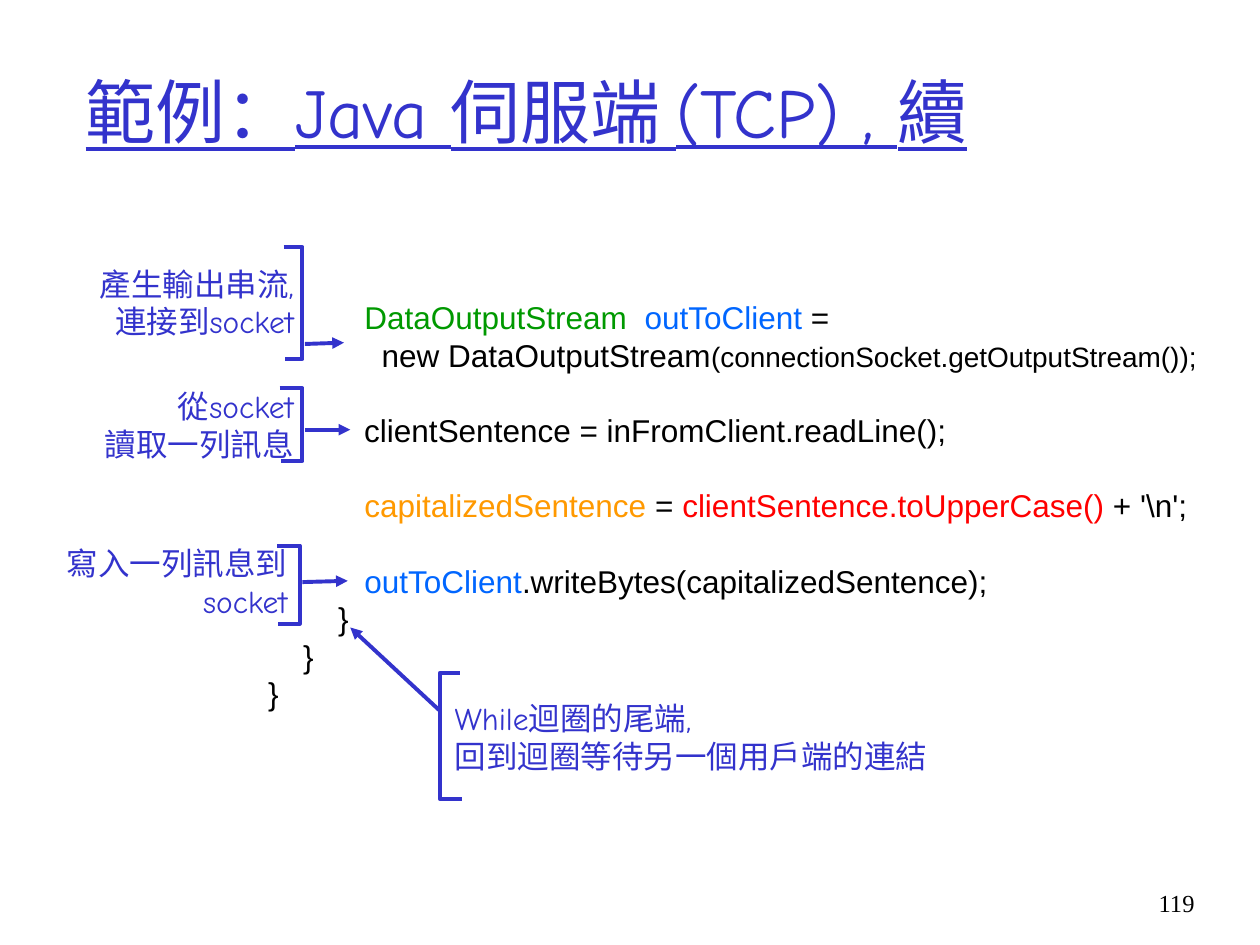
from lxml import etree
from pptx import Presentation
from pptx import util as u
from pptx.dml.color import RGBColor
from pptx.enum import shapes, text
from pptx.oxml.ns import qn

BLUE = RGBColor(0x33, 0x33, 0xCC)
BLACK = RGBColor(0, 0, 0)
GREEN = RGBColor(0, 0x99, 0)
SKY = RGBColor(0, 0x66, 0xFF)
ORANGE = RGBColor(0xFF, 0x99, 0)
RED = RGBColor(0xFF, 0, 0)

COLS, ROWS = 100, 75
CELL = u.Inches(0.1)
LINE_PITCH = u.Pt(21.5)
HAND, SANS, SERIF = "Comic Neue", "Arial", "Times New Roman"
LEFT, RIGHT = text.PP_ALIGN.LEFT, text.PP_ALIGN.RIGHT


def grid(*cells):
    """Turn grid columns or rows into slide lengths."""
    return [round(c * CELL) for c in cells]


def add_run(p, words, *, font=HAND, size=18, color=BLUE, underline=None):
    r = p.add_run()
    r.text = words
    r.font.name = font
    r.font.size = u.Pt(size)
    r.font.color.rgb = color
    r.font.underline = underline


def prepare_frame(sp, anchor=text.MSO_ANCHOR.MIDDLE):
    tf = sp.text_frame
    tf.word_wrap = True
    tf.auto_size = text.MSO_AUTO_SIZE.NONE
    tf.vertical_anchor = anchor
    return tf


def add_lines(tf, lines, align=LEFT, **fmt):
    for i, words in enumerate(lines):
        p = tf.add_paragraph() if i else tf.paragraphs[0]
        p.alignment = align
        add_run(p, words, **fmt)


def add_title(s, words, *box):
    sp = s.shapes.title
    sp.left, sp.top, sp.width, sp.height = grid(*box)
    add_lines(prepare_frame(sp), [words], size=40, underline=True)


def add_text(s, lines, box, *, anchor=text.MSO_ANCHOR.MIDDLE, **fmt):
    sp = s.shapes.add_textbox(*grid(*box))
    add_lines(prepare_frame(sp, anchor), lines, **fmt)


def add_code(s, lines, box, top_inset):
    """Each line is (gap lines before it, [(words, colour, size), ...])."""
    sp = s.shapes.add_textbox(*grid(*box))
    tf = prepare_frame(sp, text.MSO_ANCHOR.TOP)
    tf.margin_top = grid(top_inset)[0]
    for i, (gap, runs) in enumerate(lines):
        p = tf.add_paragraph() if i else tf.paragraphs[0]
        p.alignment = LEFT
        p.line_spacing = LINE_PITCH
        p.space_before = gap * LINE_PITCH
        for words, color, size in runs:
            add_run(p, words, font=SANS, size=size, color=color)


def style_line(sp):
    sp.line.color.rgb = BLUE
    sp.line.width = u.Pt(2.25)


def add_bracket(s, spine, top, bottom, top_tip, bottom_tip):
    points = [(top_tip, top), (spine, top), (spine, bottom), (bottom_tip, bottom)]
    first, *rest = [grid(*point) for point in points]
    builder = s.shapes.build_freeform(*first)
    builder.add_line_segments(rest, close=False)
    sp = builder.convert_to_shape()
    sp.shadow.inherit = False
    sp.fill.background()
    style_line(sp)


def add_arrow(s, *ends):
    sp = s.shapes.add_connector(shapes.MSO_CONNECTOR.STRAIGHT, *grid(*ends))
    style_line(sp)
    etree.SubElement(sp.line._get_or_add_ln(), qn("a:tailEnd"), type="triangle")
    etree.SubElement(sp._element.spPr, qn("a:effectLst"))


def main():
    prs = Presentation()
    prs.slide_width, prs.slide_height = grid(COLS, ROWS)
    s = prs.slides.add_slide(prs.slide_layouts[5])

    add_title(s, "範例：Java 伺服端 (TCP) , 續", 5.8, 2.5, 85, 12.5)

    code = [
        (0, [("           ", BLACK, 18), ("DataOutputStream  ", GREEN, 18),
             ("outToClient", SKY, 18), (" =", BLACK, 18)]),
        (0, [("             new DataOutputStream", BLACK, 18),
             ("(connectionSocket.getOutputStream());", BLACK, 16)]),
        (1, [("           clientSentence = inFromClient.readLine();", BLACK, 18)]),
        (1, [("           ", BLACK, 18), ("capitalizedSentence", ORANGE, 18),
             (" = ", BLACK, 18), ("clientSentence.toUpperCase()", RED, 18),
             (" + '\\n';", BLACK, 18)]),
        (1, [("           ", BLACK, 18), ("outToClient", SKY, 18),
             (".writeBytes(capitalizedSentence);", BLACK, 18)]),
        (0, [("        }", BLACK, 18)]),
        (0, [("    }", BLACK, 18)]),
        (0, [("}", BLACK, 18)]),
    ]
    add_code(s, code, (20.3, 17.7, 76.4, 43.4), top_inset=6)

    labels = [
        (["產生輸出串流,", "連接到socket"], (1.4, 20.5, 22.9, 7), RIGHT),
        (["從socket", "讀取一列訊息"], (6.3, 30.2, 18, 7), RIGHT),
        (["寫入一列訊息到", "socket"], (3.3, 42.7, 20.5, 7), RIGHT),
        (["While迴圈的尾端,", "回到迴圈等待另一個用戶端的連結"], (35.1, 55, 40.5, 7), LEFT),
    ]
    for lines, box, align in labels:
        add_text(s, lines, box, align=align)

    for bracket in [(24, 19.6, 28.5, 22.5, 22.6), (24, 30.8, 36.6, 22.2, 22.3),
                    (23.8, 43.3, 49.5, 22, 22.1), (34.9, 53.4, 63.4, 36.5, 36.7)]:
        add_bracket(s, *bracket)

    for ends in [(24.2, 27.3, 27.3, 27.2), (24.2, 34.1, 27.8, 34.1),
                 (24, 46.2, 27.6, 46.1), (34.9, 56.4, 27.8, 49.8)]:
        add_arrow(s, *ends)

    add_text(s, ["119"], (90.8, 70, 5, 5), anchor=text.MSO_ANCHOR.TOP,
             align=RIGHT, font=SERIF, size=14, color=BLACK)
    prs.save("out.pptx")


if __name__ == "__main__":
    main()
